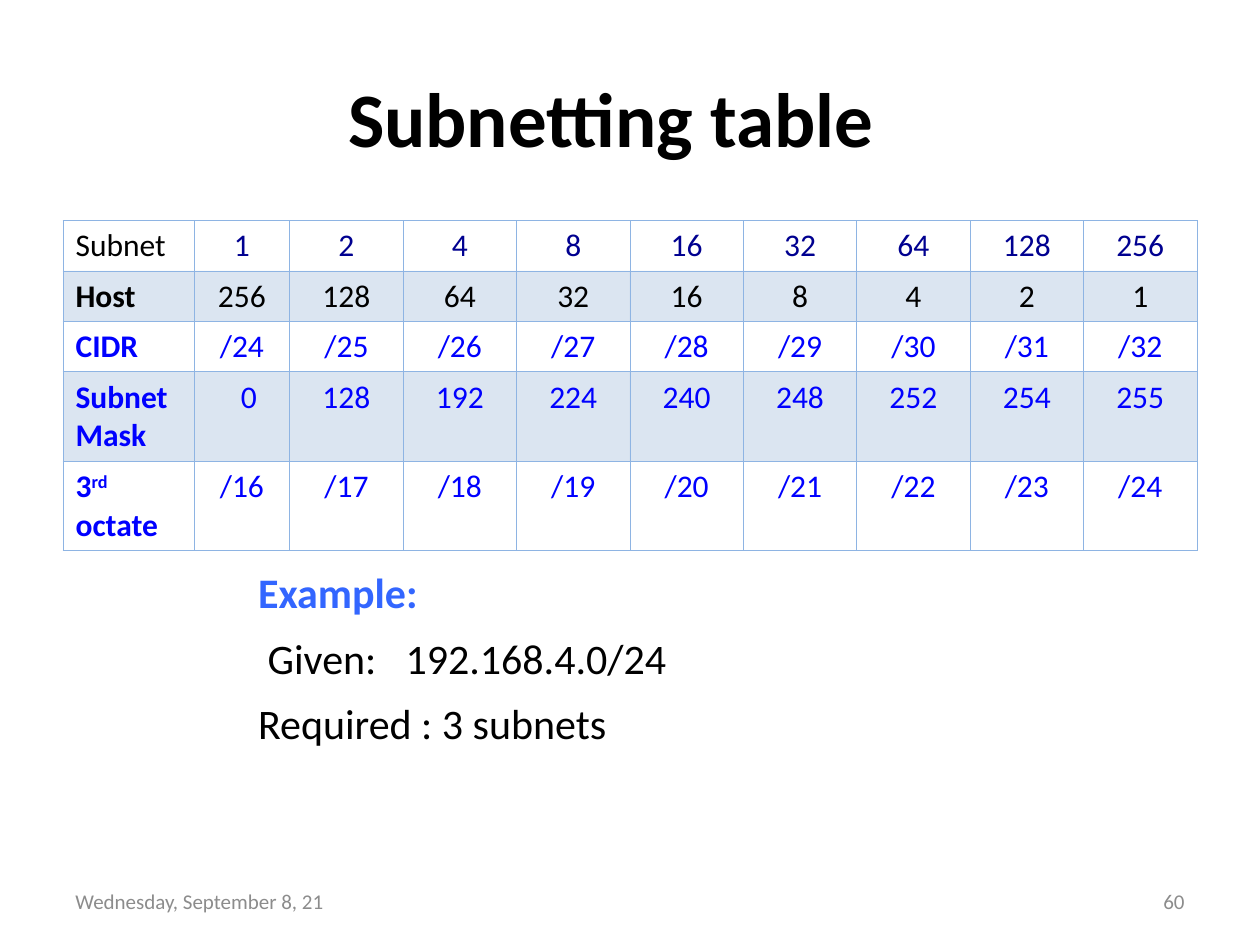
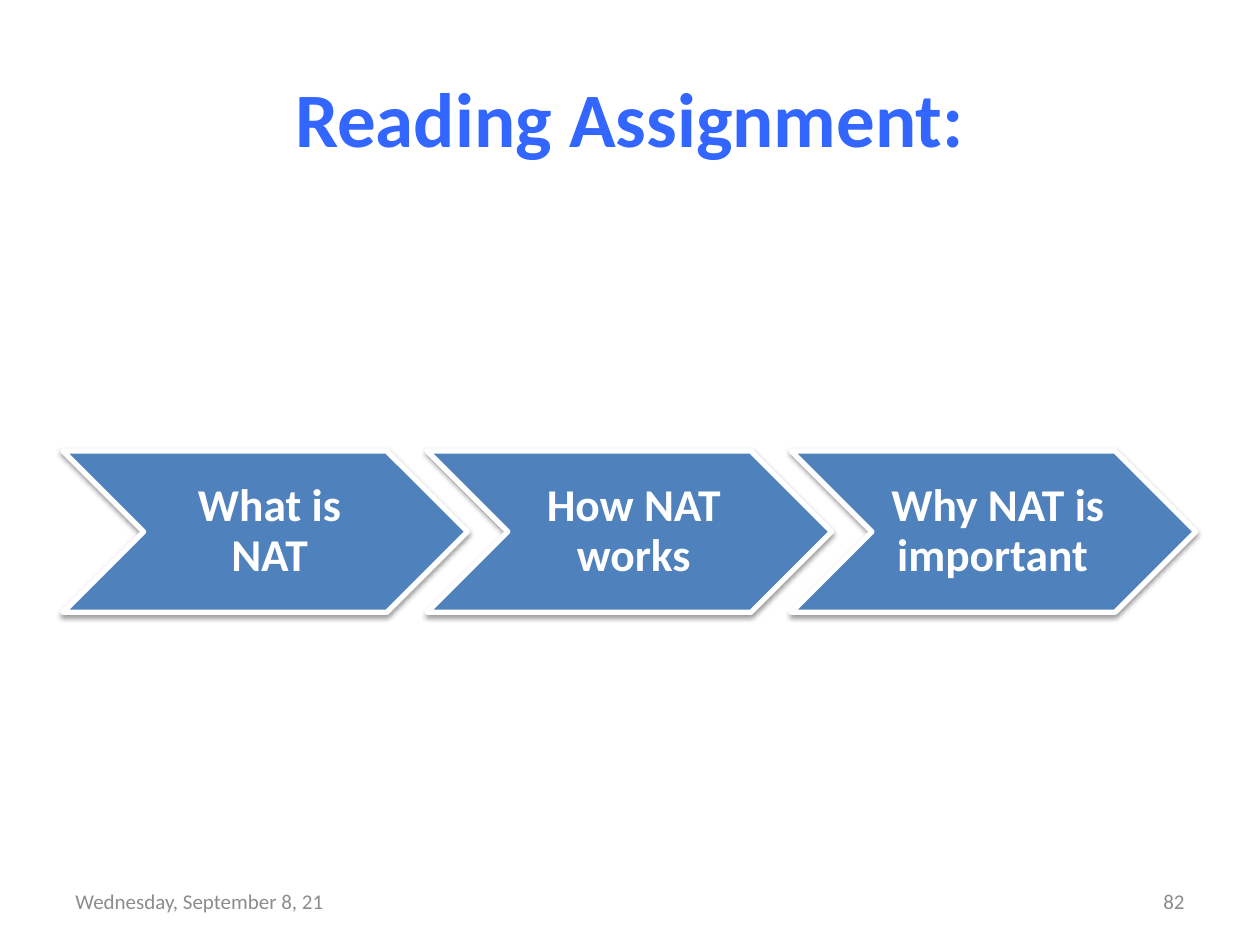
import pptx
import pptx.dml.color
import pptx.enum.shapes
import pptx.enum.text
import pptx.oxml
import pptx.oxml.ns
import pptx.util
from lxml import etree

PX = 9144
FONT = "Calibri"
BLACK, WHITE, GREY = "000000", "FFFFFF", "8C8C8C"
NAVY, BLUE, ACCENT, STEEL, BORDER = "000090", "0000FF", "3366FF", "4F81BD", "8EB4E3"
ALIGN = pptx.enum.text.PP_ALIGN
ANCHOR = pptx.enum.text.MSO_ANCHOR
LEFT_EDGE, FULL_WIDTH = 50, 900
DATE = "Wednesday, September 8, 21"


def px(count):
    return pptx.util.Emu(count * PX)


def color(code):
    return pptx.dml.color.RGBColor.from_string(code)


def apply(target, values):
    for name, value in values.items():
        setattr(target, name, value)


def add_xml(parent, tag, **attributes):
    element = etree.SubElement(parent, pptx.oxml.ns.qn(tag))
    for name, value in attributes.items():
        element.set(name, str(value))
    return element


class SlideWriter:
    def __init__(self, deck):
        self.deck = deck
        self.page = None

    def write_para(self, para, spans, size, code, bold=False, **layout):
        apply(para, layout)
        for text, changes in spans:
            span = para.add_run()
            span.text = text
            values = {"name": FONT, "size": pptx.util.Pt(size), "bold": bold}
            apply(span.font, values)
            span.font.color.rgb = color(changes.get("code", code))
            if "baseline" in changes:
                span._r.get_or_add_rPr().set("baseline", changes["baseline"])

    def start(self, title, code, number, right_inset=10):
        self.page = self.deck.slides.add_slide(self.deck.slide_layouts[5])
        box = self.page.shapes.title
        apply(box, {"left": px(LEFT_EDGE), "top": px(30),
                    "width": px(FULL_WIDTH), "height": px(125)})
        apply(box.text_frame, {"vertical_anchor": ANCHOR.MIDDLE, "word_wrap": True,
                               "margin_right": px(right_inset)})
        self.write_para(box.text_frame.paragraphs[0], [(title, {})], 44, code,
                        True, alignment=ALIGN.CENTER)
        for left, text, side in ((50, DATE, ALIGN.LEFT),
                                 (717, str(number), ALIGN.RIGHT)):
            frame = self.text_box(left, 695, 233, 40, ANCHOR.MIDDLE)
            self.write_para(frame.paragraphs[0], [(text, {})], 12, GREY,
                            alignment=side)

    def text_box(self, left, top, width, height, anchor=ANCHOR.TOP):
        box = self.page.shapes.add_textbox(px(left), px(top), px(width), px(height))
        apply(box.text_frame, {"word_wrap": True, "vertical_anchor": anchor})
        return box.text_frame

    def table(self, left, top, widths, heights, rows):
        frame = self.page.shapes.add_table(
            len(rows), len(widths), px(left), px(top),
            px(sum(widths)), px(sum(heights)))
        table = frame.table
        apply(table, {"first_row": False, "horz_banding": False})
        for column, width in zip(table.columns, widths):
            column.width = px(width)
        for row, height in zip(table.rows, heights):
            row.height = px(height)
        for row_index, (heading, values, code, value_code, bold) in enumerate(rows):
            for column_index, spans in enumerate([heading] + values):
                cell = table.cell(row_index, column_index)
                is_heading = column_index == 0
                self.write_para(
                    cell.text_frame.paragraphs[0], spans, 18,
                    code if is_heading else value_code, bold and is_heading,
                    alignment=ALIGN.LEFT if is_heading else ALIGN.CENTER)
                self.format_cell(cell, row_index % 2 == 1)
        return table

    def format_cell(self, cell, shaded):
        properties = cell._tc.get_or_add_tcPr()
        for side in ("a:lnL", "a:lnR", "a:lnT", "a:lnB"):
            line = add_xml(properties, side, w=pptx.util.Pt(0.5))
            add_xml(add_xml(line, "a:solidFill"), "a:srgbClr", val=BORDER)
        if shaded:
            fill = add_xml(properties, "a:solidFill")
            add_xml(add_xml(fill, "a:srgbClr", val=STEEL), "a:alpha", val=20000)
        else:
            add_xml(properties, "a:noFill")

    def chevron(self, left, top, width, height, text):
        shape = self.page.shapes.add_shape(
            pptx.enum.shapes.MSO_SHAPE.CHEVRON,
            px(left), px(top), px(width), px(height))
        shape.fill.solid()
        shape.fill.fore_color.rgb = color(STEEL)
        shape.line.color.rgb = color(WHITE)
        shape.line.width = pptx.util.Pt(3)
        shape.shadow.inherit = False
        effects = shape._element.spPr.find(pptx.oxml.ns.qn("a:effectLst"))
        shadow = add_xml(effects, "a:outerShdw", blurRad=pptx.util.Pt(3.1),
                         dist=pptx.util.Pt(1.6), dir=5400000, rotWithShape=0)
        add_xml(add_xml(shadow, "a:srgbClr", val=BLACK), "a:alpha", val=38000)
        apply(shape.text_frame, {
            "word_wrap": True, "vertical_anchor": ANCHOR.MIDDLE,
            "margin_left": px(11), "margin_right": px(4),
            "margin_top": px(4), "margin_bottom": px(4)})
        self.write_para(shape.text_frame.paragraphs[0], [(text, {})], 26, WHITE,
                        True, alignment=ALIGN.CENTER, line_spacing=0.9)


def cells(values):
    return [[(str(value), {})] for value in values]


def subnetting_slide(writer):
    writer.start("Subnetting table", BLACK, 60, right_inset=40)
    subnets = [2 ** bits for bits in range(9)]
    hosts = subnets[::-1]
    masks = [256 - count for count in hosts]
    third_octet = [("3", {}), ("rd", {"baseline": "30000"}), (" octate", {})]
    rows = [
        ([("Subnet", {})], cells(subnets), BLACK, NAVY, False),
        ([("Host", {})], cells(hosts), BLACK, BLACK, True),
        ([("CIDR", {})], cells(f"/{24 + bits}" for bits in range(9)), BLUE, BLUE, True),
        ([("Subnet Mask", {})], cells(masks), BLUE, BLUE, True),
        (third_octet, cells(f"/{16 + bits}" for bits in range(9)), BLUE, BLUE, True),
    ]
    table = writer.table(LEFT_EDGE, 175, [104, 76] + [90] * 8,
                         [40, 40, 40, 71, 71], rows)
    table.cell(3, 1).margin_left = px(21)

    frame = writer.text_box(195, 433, 539, 166)
    frame.auto_size = pptx.enum.text.MSO_AUTO_SIZE.SHAPE_TO_FIT_TEXT
    lines = [("Example:", ACCENT, True),
             (" Given:\t192.168.4.0/24", BLACK, False),
             ("Required : 3 subnets", BLACK, False)]
    for index, (text, code, bold) in enumerate(lines):
        para = frame.add_paragraph() if index else frame.paragraphs[0]
        writer.write_para(para, [(text, {})], 24, code, bold, line_spacing=1.3)
        if "\t" in text:
            tabs = add_xml(para._p.get_or_add_pPr(), "a:tabLst")
            add_xml(tabs, "a:tab", pos=px(117), algn="l")


def reading_slide(writer):
    writer.start("Reading Assignment:", ACCENT, 82)
    topics = ["What is NAT", "How NAT works", "Why NAT is important "]
    for index, topic in enumerate(topics):
        writer.chevron(LEFT_EDGE + index * 289, 358, 321, 128, topic)


def main():
    deck = pptx.Presentation()
    apply(deck, {"slide_width": px(1000), "slide_height": px(750)})
    writer = SlideWriter(deck)
    subnetting_slide(writer)
    reading_slide(writer)
    deck.save("out.pptx")


if __name__ == "__main__":
    main()
